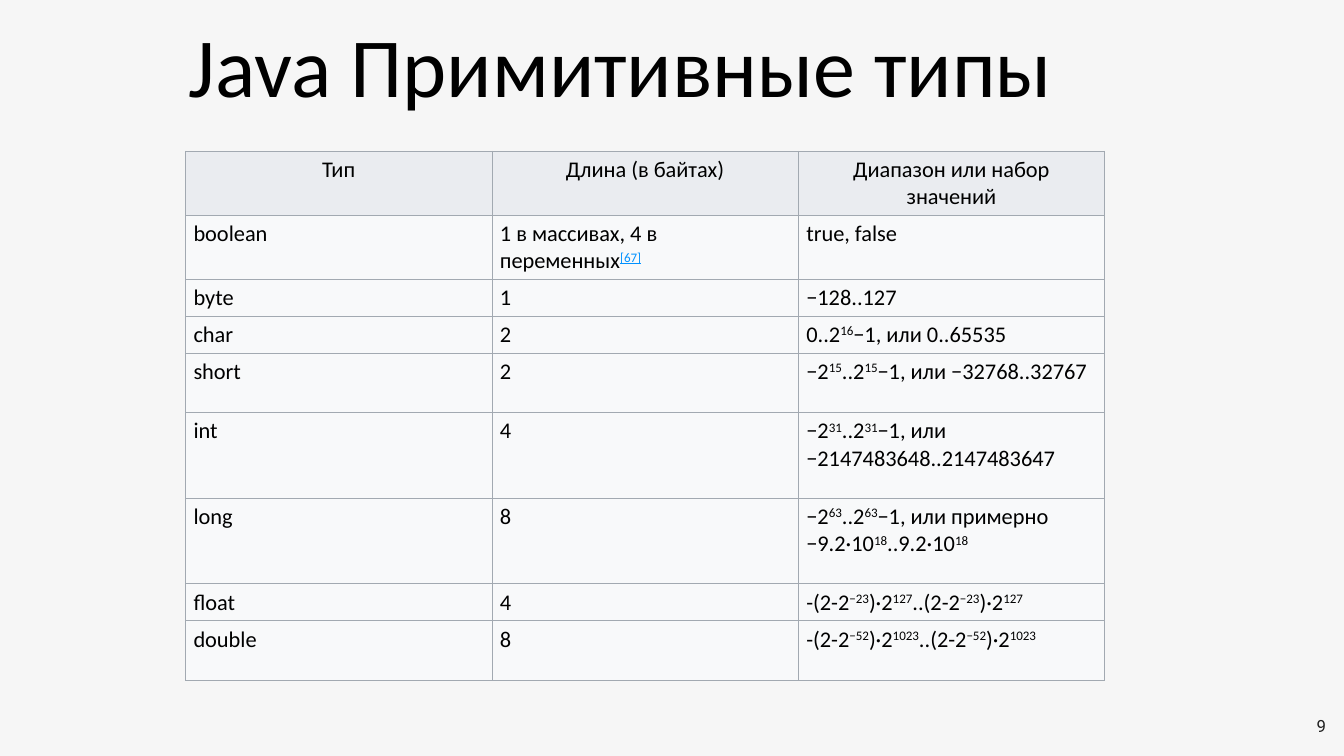
import pptx
import pptx.util
import pptx.dml.color
import pptx.enum.text
import pptx.oxml
import pptx.oxml.ns

ALIGN = pptx.enum.text.PP_ALIGN
ANCHOR = pptx.enum.text.MSO_ANCHOR

HEADS = ["Тип", "Длина (в байтах)", "Диапазон или набор значений"]
TYPES = [
    ["boolean", "1 в массивах, 4 в переменных^[67]", "true, false"],
    ["byte", "1", "−128..127"],
    ["char", "2", "0..2^16^−1, или 0..65535"],
    ["short", "2", "−2^15^..2^15^−1, или −32768..32767"],
    ["int", "4", "−2^31^..2^31^−1, или −2147483648..2147483647"],
    ["long", "8", "−2^63^..2^63^−1, или примерно −9.2·10^18^..9.2·10^18"],
    ["float", "4", "-(2-2^−23^)·2^127^..(2-2^−23^)·2^127"],
    ["double", "8", "-(2-2^−52^)·2^1023^..(2-2^−52^)·2^1023"],
]
LOW, MID, TALL = 4.53, 7.87, 11.33
ROWS = [MID, MID, LOW, LOW, MID, TALL, TALL, LOW, MID]


def color(code):
    return pptx.dml.color.RGBColor.from_string(code)


class Deck:
    """Holds the style and the current slide on a grid of 100 columns by 100 rows."""

    font, ink, link, edge = "Calibri", "000000", "0091FF", "A2A9B1"
    head, body = "EAECF0", "F8F9FA"

    def __init__(self):
        self.prs = pptx.Presentation()
        self.prs.slide_width = pptx.util.Inches(13.33)
        self.prs.slide_height = pptx.util.Inches(7.5)
        self.slide = self.prs.slides.add_slide(self.prs.slide_layouts[5])
        back = self.slide.background.fill
        back.solid()
        back.fore_color.rgb = color("F6F6F6")

    def col(self, count):
        return round(self.prs.slide_width * count / 100)

    def row(self, count):
        return round(self.prs.slide_height * count / 100)

    def box(self, x, y, w, h):
        return self.col(x), self.row(y), self.col(w), self.row(h)

    def style(self, run, size, ink=None, font=None):
        run.font.size = pptx.util.Pt(size)
        run.font.name = font or self.font
        run.font.bold = False
        run.font.color.rgb = color(ink or self.ink)

    def title(self, text, *place):
        shape = self.slide.shapes.title
        shape.left, shape.top, shape.width, shape.height = self.box(*place)
        frame = shape.text_frame
        frame.text = text
        frame.auto_size = pptx.enum.text.MSO_AUTO_SIZE.NONE
        frame.vertical_anchor = ANCHOR.TOP
        para = frame.paragraphs[0]
        para.alignment = ALIGN.CENTER
        para.line_spacing = 0.9
        self.style(para.runs[0], 60)

    def number(self, text, *place):
        frame = self.slide.shapes.add_textbox(*self.box(*place)).text_frame
        frame.text = text
        frame.word_wrap = True
        frame.vertical_anchor = ANCHOR.MIDDLE
        para = frame.paragraphs[0]
        para.alignment = ALIGN.RIGHT
        self.style(para.runs[0], 12, "202020", "Roboto")

    def border(self, cell):
        props = cell._tc.get_or_add_tcPr()
        space = pptx.oxml.ns.nsdecls("a")
        for spot, side in enumerate("LRTB"):
            props.insert(spot, pptx.oxml.parse_xml(
                f'<a:ln{side} {space} w="7239"><a:solidFill>'
                f'<a:srgbClr val="{self.edge}"/></a:solidFill></a:ln{side}>'))

    def cell(self, cell, text, fill, align):
        cell.margin_left = cell.margin_right = pptx.util.Inches(0.08)
        cell.margin_top = cell.margin_bottom = pptx.util.Inches(0.05)
        cell.fill.solid()
        cell.fill.fore_color.rgb = color(fill)
        self.border(cell)
        para = cell.text_frame.paragraphs[0]
        para.alignment = align
        for spot, part in enumerate(text.split("^")):
            run = para.add_run()
            run.text = part
            note = part.startswith("[")
            self.style(run, 16, self.link if note else self.ink)
            if note:
                run.font.underline = True
            if spot % 2:
                run.font._element.set("baseline", "30000")

    def table(self, heads, lines, rows, x, y, w):
        grid = self.slide.shapes.add_table(
            len(rows), len(heads), *self.box(x, y, w, sum(rows))).table
        grid.first_row = grid.horz_banding = False
        for line, high in zip(grid.rows, rows):
            line.height = self.row(high)
        for r, line in enumerate([heads] + lines):
            fill, align = (self.body, ALIGN.LEFT) if r else (self.head, ALIGN.CENTER)
            for c, text in enumerate(line):
                self.cell(grid.cell(r, c), text, fill, align)


def main():
    deck = Deck()
    deck.title("Java Примитивные типы", 3.9, 2.67, 84.55, 4.93)
    deck.number("9", 92.95, 93.07, 6.45, 5.87)
    deck.table(HEADS, TYPES, ROWS, 13.8, 20, 68.4)
    deck.prs.save("out.pptx")


if __name__ == "__main__":
    main()
